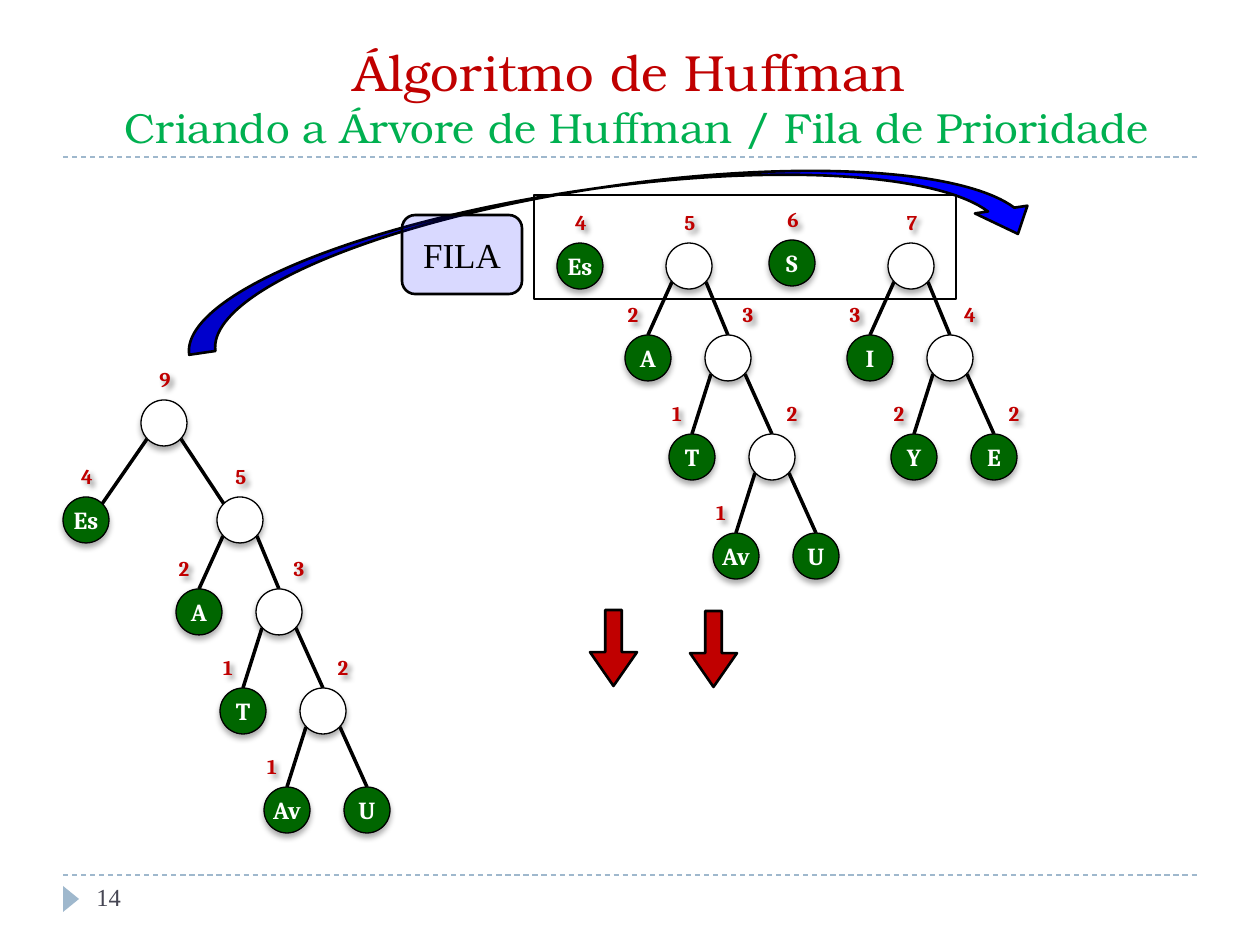
from lxml.etree import SubElement
from pptx import Presentation
from pptx.dml.color import RGBColor
from pptx.enum.dml import MSO_LINE
from pptx.enum.shapes import MSO_CONNECTOR, MSO_SHAPE
from pptx.enum.text import MSO_ANCHOR, MSO_AUTO_SIZE, PP_ALIGN
from pptx.oxml.ns import qn
from pptx.util import Emu, Pt

THEME = {
    "title": "C00000", "subtitle": "00B050", "rule": "9FB8CD", "page": "464653",
    "leaf": "006600", "white": "FFFFFF", "black": "000000", "red": "C00000",
    "blue": "0000FF",
    "title_font": "TeX Gyre Bonum", "node_font": "Cambria", "body_font": "Times New Roman",
    "title_size": 29, "subtitle_size": 24, "queue_size": 20, "node_size": 14,
    "weight_size": 12, "page_size": 14,
}

TITLE = [("Álgoritmo de Huffman", "title"),
         (" Criando a Árvore de Huffman / Fila de Prioridade", "subtitle")]

WIDE, TOP, LOW = "wide", "top", "low"
SPREADS = {
    WIDE: {"dx": (-78, 76), "dy": 97, "weight_dx": (1, 1), "tip_dx": (16, -16), "tip_dy": -16},
    TOP: {"dx": (-41, 39), "dy": 92, "weight_dx": (-15, 20), "tip_dx": (0, 0), "tip_dy": -23},
    LOW: {"dx": (-36, 44), "dy": 99, "weight_dx": (-15, 20), "tip_dx": (0, 0), "tip_dy": -23},
}


def leaf(letter, weight=""):
    return {"letter": letter, "weight": weight, "children": ()}


def branch(weight, spread, *children):
    return {"letter": "", "weight": weight, "spread": spread, "children": children}


ES = leaf("Es", "4")
FIVE = branch("5", TOP, leaf("A", "2"),
              branch("3", LOW, leaf("T", "1"),
                     branch("2", LOW, leaf("Av", "1"), leaf("U"))))
SEVEN = branch("7", TOP, leaf("I", "3"),
               branch("4", LOW, leaf("Y", "2"), leaf("E", "2")))
NINE = branch("9", WIDE, ES, FIVE)

TREES = [(ES, 580, 266), (leaf("S", "6"), 792, 263), (FIVE, 689, 266),
         (SEVEN, 911, 266), (NINE, 164, 423)]
DOWN_ARROWS = [(590, 610), (690, 611)]
RULES_Y = [875, 157]
NODE = 46
WEIGHT_W, WEIGHT_H, WEIGHT_DY = 52, 38, -44
EDGE_DX, EDGE_DY = 17, 16

SCALE = 914400 / 126


def px(*lengths):
    return [Emu(round(v * SCALE)) for v in lengths]


def rgb(name):
    return RGBColor.from_string(THEME[name])


def add_shadow(spPr, alpha, blur, dist, angle):
    effects = spPr.find(qn("a:effectLst"))
    if effects is None:
        effects = SubElement(spPr, qn("a:effectLst"))
    shadow = SubElement(effects, qn("a:outerShdw"), blurRad=str(Pt(blur)),
                        dist=str(Pt(dist)), dir=str(angle * 60000), rotWithShape="0")
    color = SubElement(shadow, qn("a:srgbClr"), val=THEME["black"])
    SubElement(color, qn("a:alpha"), val=str(alpha * 1000))


def add_text(p, text, *, font, size, color, bold=False):
    r = p.add_run()
    r.text = text
    r.font.name = THEME[font]
    r.font.size = Pt(THEME[size])
    r.font.color.rgb = rgb(color)
    r.font.bold = bold


def write(sp, text, *, align=PP_ALIGN.CENTER, anchor=MSO_ANCHOR.MIDDLE, margin=None, **fmt):
    tf = sp.text_frame
    tf.word_wrap = True
    tf.vertical_anchor = anchor
    if margin is not None:
        tf.margin_left = tf.margin_right = tf.margin_top = tf.margin_bottom = margin
    p = tf.paragraphs[0]
    p.alignment = align
    add_text(p, text, **fmt)


def add_shape(kind, box, *, fill=None, line="black", width=1.5, adj=(), rotation=0):
    sp = shapes.add_shape(kind, *px(*box))
    sp.shadow.inherit = False
    sp.rotation = rotation
    for i, value in enumerate(adj):
        sp.adjustments[i] = value
    if fill:
        sp.fill.solid()
        sp.fill.fore_color.rgb = rgb(fill)
    else:
        sp.fill.background()
    if line:
        sp.line.color.rgb = rgb(line)
        sp.line.width = Pt(width)
    else:
        sp.line.fill.background()
    return sp


def add_line(x1, y1, x2, y2, *, color="black", width=2, dash=None):
    cx = shapes.add_connector(MSO_CONNECTOR.STRAIGHT, *px(x1, y1, x2, y2))
    cx.line.color.rgb = rgb(color)
    cx.line.width = Pt(width)
    if dash:
        cx.line.dash_style = dash
    SubElement(cx._element.spPr, qn("a:effectLst"))


def draw_tree(node, x, y, weight_dx=1):
    if node["children"]:
        spread = SPREADS[node["spread"]]
        child_y = y + spread["dy"]
        for child, side, dx, label_dx, tip_dx in zip(
                node["children"], (-1, 1), spread["dx"], spread["weight_dx"], spread["tip_dx"]):
            add_line(x + side * EDGE_DX, y + EDGE_DY, x + dx + tip_dx, child_y + spread["tip_dy"])
            draw_tree(child, x + dx, child_y, label_dx)
    sp = add_shape(MSO_SHAPE.OVAL, (x - NODE / 2, y - NODE / 2, NODE, NODE),
                   fill="leaf" if node["letter"] else "white", width=0.75)
    add_shadow(sp._element.spPr, 32, 3.5, 2.2, 90)
    if node["letter"]:
        write(sp, node["letter"], margin=0, font="node_font", size="node_size",
              color="white", bold=True)
    if node["weight"]:
        tb = shapes.add_textbox(*px(x + weight_dx - WEIGHT_W / 2, y + WEIGHT_DY - WEIGHT_H / 2,
                                    WEIGHT_W, WEIGHT_H))
        write(tb, node["weight"], font="node_font", size="weight_size", color="red", bold=True)
        tb.text_frame.auto_size = MSO_AUTO_SIZE.SHAPE_TO_FIT_TEXT
        add_shadow(tb._element.spPr, 40, 3, 3, 45)


prs = Presentation()
prs.slide_width, prs.slide_height = px(1260, 945)
slide = prs.slides.add_slide(prs.slide_layouts[5])
shapes = slide.shapes

for y in RULES_Y:
    add_line(63, y, 1197, y, color="rule", width=0.75, dash=MSO_LINE.DASH)
add_shape(MSO_SHAPE.ISOSCELES_TRIANGLE, (58, 891, 26, 16), fill="rule", line=None, rotation=90)

title = shapes.title
title.left, title.top, title.width, title.height = px(63, 32, 1134, 126)
tf = title.text_frame
tf.auto_size = MSO_AUTO_SIZE.NONE
tf.vertical_anchor = MSO_ANCHOR.BOTTOM
p = tf.paragraphs[0]
p.alignment = PP_ALIGN.CENTER
for i, (text, role) in enumerate(TITLE):
    if i:
        p.add_line_break()
    add_text(p, text, font="title_font", size=role + "_size", color=role)

page = shapes.add_textbox(*px(84, 876, 273, 50))
write(page, "14", align=PP_ALIGN.LEFT, anchor=MSO_ANCHOR.TOP,
      font="body_font", size="page_size", color="page")

for tree, x, y in TREES:
    draw_tree(tree, x, y)
for x, y in DOWN_ARROWS:
    add_shape(MSO_SHAPE.DOWN_ARROW, (x, y, 47, 76), fill="red", adj=(0.35, 0.72))

add_shape(MSO_SHAPE.CURVED_LEFT_ARROW, (556, -192, 106, 864), fill="blue",
          adj=(0.25, 0.5, 0.25), rotation=261.7)
add_shape(MSO_SHAPE.RECTANGLE, (534, 195, 422, 104))
queue = add_shape(MSO_SHAPE.FLOWCHART_ALTERNATE_PROCESS, (402, 215, 120, 79), fill="blue")
color = queue._element.spPr.find(qn("a:solidFill")).find(qn("a:srgbClr"))
SubElement(color, qn("a:alpha"), val="15000")
write(queue, "FILA", font="body_font", size="queue_size", color="black")

prs.save("out.pptx")
